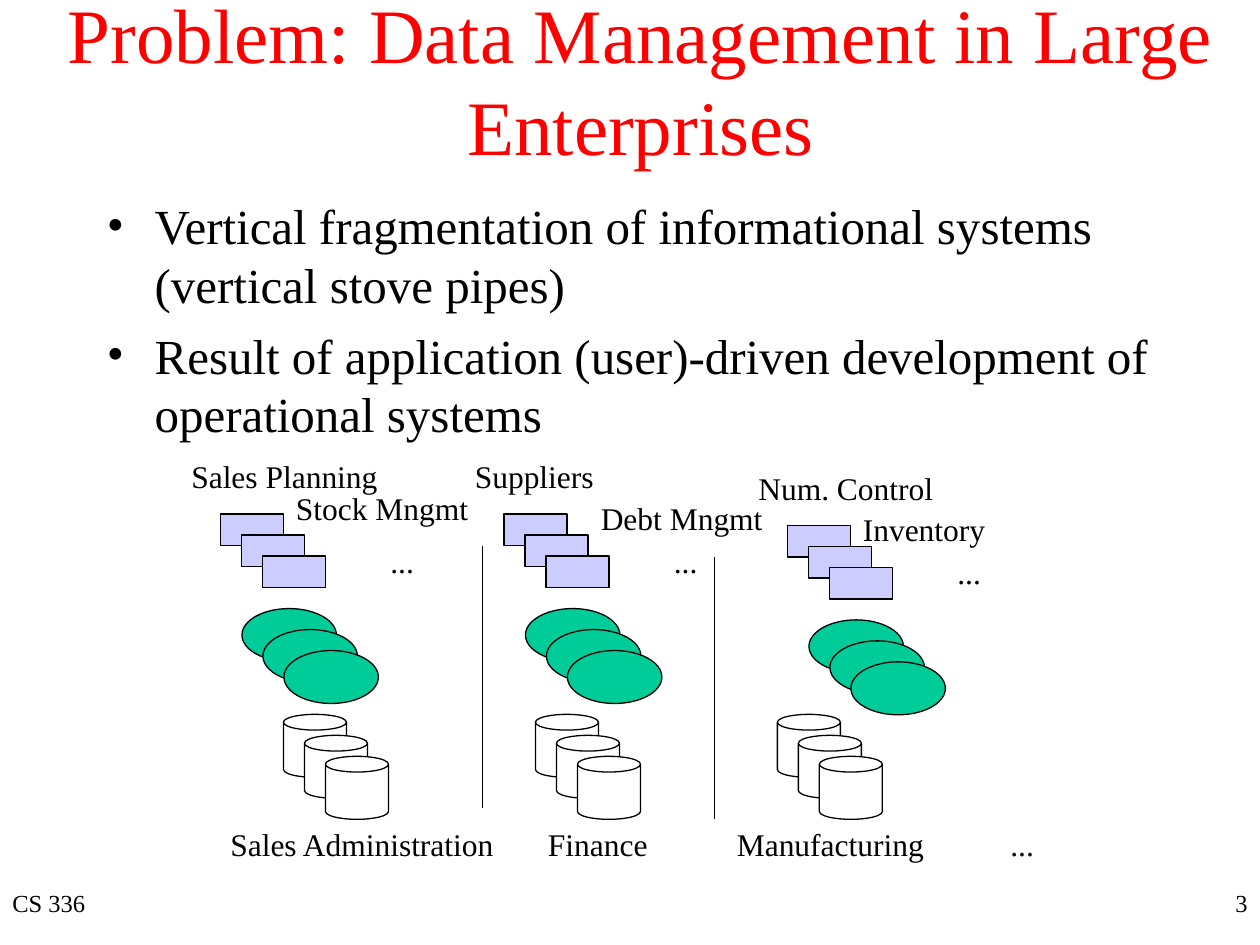
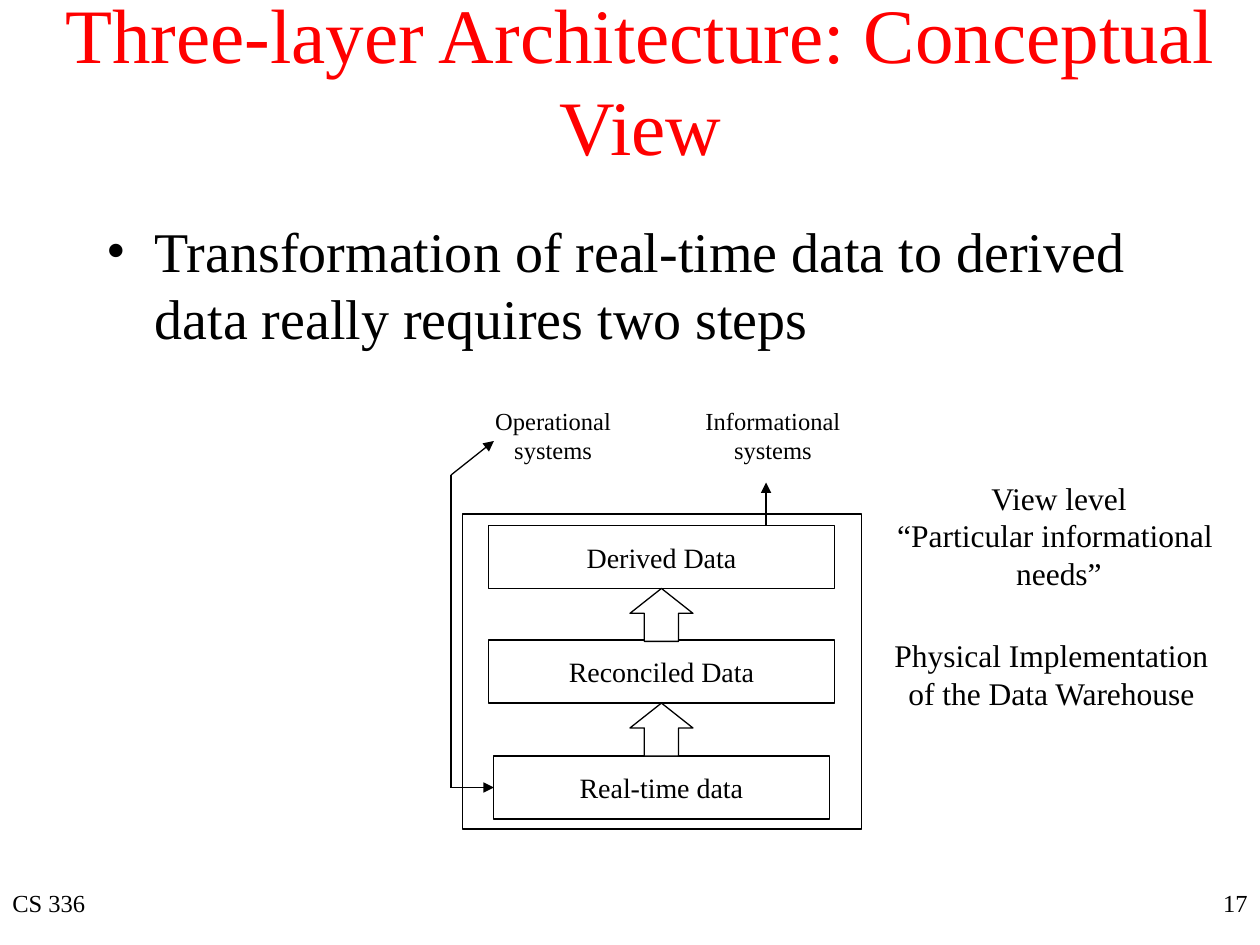
from pptx import Presentation
from pptx.dml.color import RGBColor
from pptx.enum.shapes import MSO_CONNECTOR, MSO_SHAPE
from pptx.enum.text import MSO_ANCHOR, MSO_AUTO_SIZE, PP_ALIGN
from pptx.oxml.ns import qn
from pptx.util import Inches, Pt
from lxml import etree

LEFT, CENTER, RIGHT = PP_ALIGN.LEFT, PP_ALIGN.CENTER, PP_ALIGN.RIGHT
TOP, MIDDLE = MSO_ANCHOR.TOP, MSO_ANCHOR.MIDDLE
FIT_SHAPE, NO_FIT = MSO_AUTO_SIZE.SHAPE_TO_FIT_TEXT, MSO_AUTO_SIZE.NONE
STRAIGHT = MSO_CONNECTOR.STRAIGHT
RECTANGLE, PROCESS = MSO_SHAPE.RECTANGLE, MSO_SHAPE.FLOWCHART_PROCESS
OVAL, CAN, UP_ARROW = MSO_SHAPE.OVAL, MSO_SHAPE.CAN, MSO_SHAPE.UP_ARROW

BLACK = RGBColor(0x00, 0x00, 0x00)
WHITE = RGBColor(0xFF, 0xFF, 0xFF)
RED = RGBColor(0xFF, 0x00, 0x00)
GREEN = RGBColor(0x00, 0xCC, 0x99)
LAVENDER = RGBColor(0xCC, 0xCC, 0xFF)
FONT = "Times New Roman"
LINE_WIDTH = Pt(0.75)

COURSE = "CS 336"
STACK_SIZE = 3
STACK_STEP = 1 / 6
LABEL_HEIGHT = 0.4
LABEL_SLACK = 0.06  # extra width that keeps each label on its line

# Slide 3: title, bullets, and one stove pipe per department
PROBLEM_TITLE = "Problem: Data Management in Large Enterprises"
PROBLEM_BULLETS = [
    "Vertical fragmentation of informational systems (vertical stove pipes)",
    "Result of application (user)-driven development of operational systems",
]
# origin is the corner of the first process box; labels are (text, left, top, width)
# relative to it
DEPARTMENTS = [
    {"origin": (1.75, 4.08), "cans_left": 2.25,
     "labels": [("Sales Planning", -0.33, -0.5, 1.68), ("Stock Mngmt", 0.5, -0.25, 1.57)]},
    {"origin": (4, 4.08), "cans_left": 4.25,
     "labels": [("Suppliers", -0.33, -0.5, 1.14), ("Debt Mngmt", 0.67, -0.17, 1.48)]},
    {"origin": (6.25, 4.17), "cans_left": 6.17,
     "labels": [("Num. Control", -0.33, -0.5, 1.59), ("Inventory", 0.5, -0.17, 1.17)]},
]
MORE_SYSTEMS = ("...", 1.25, 0.17, 0.39)
CANS_TOP = 5.67
DEPARTMENT_NAMES = [  # text, left, width
    ("Sales Administration", 1.73, 2.3),
    ("Finance", 4.25, 0.99),
    ("Manufacturing", 5.75, 1.68),
    ("...", 7.92, 0.39),
]
NAMES_TOP = 6.5
DIVIDERS = [(3.83, 4.33), (5.67, 4.42)]  # left, top
DIVIDER_HEIGHT = 2.08

# Slide 17: title, bullet and the layers of the architecture
LAYERS_TITLE = "Three-layer Architecture: Conceptual View"
LAYERS_BULLETS = ["Transformation of real-time data to derived data really requires two steps"]
FRAME = (3.67, 4.08, 3.17, 2.5)
LAYERS = [  # text, top, width
    ("Derived Data", 4.17, 2.75),
    ("Reconciled Data", 5.08, 2.75),
    ("Real-time data", 6, 2.67),
]
LAYER_HEIGHT = 0.5
LAYER_CENTER = 5.25
STEP_ARROW = (0.5, 0.42)  # width, height
STEP_ARROW_ADJUSTMENTS = (0.542, 0.471)
LAYER_NOTES = [  # lines, place, size
    (["Operational", "systems"], (3.83, 3.17, 1.12, 0.57), 14),
    (["Informational", "systems"], (5.5, 3.17, 1.27, 0.57), 14),
    (["Physical Implementation", "of the Data Warehouse"], (7, 5, 2.69, 0.7), 18),
    (["View level", "“Particular informational ", "needs”"], (7.02, 3.75, 2.77, 1), 18),
]
FLOW_LINES = [  # start, end, has arrowhead at end
    ((6.08, 4.17), (6.08, 3.83), True),
    ((3.58, 3.77), (3.92, 3.5), True),
    ((3.58, 3.77), (3.58, 6.25), False),
    ((3.58, 6.25), (3.92, 6.25), True),
]


def inches(place):
    return [Inches(length) for length in place]


def write_lines(frame, lines, size, color=BLACK, align=LEFT, **settings):
    """Fill a text frame with one paragraph per line; settings go to the frame."""
    for name, value in settings.items():
        setattr(frame, name, value)
    for index, line in enumerate(lines):
        para = frame.paragraphs[0] if index == 0 else frame.add_paragraph()
        para.alignment = align
        span = para.add_run()
        span.text = line
        font_format = {"name": FONT, "size": Pt(size)}
        for name, value in font_format.items():
            setattr(span.font, name, value)
        span.font.color.rgb = color


def add_text(page, lines, place, size, **settings):
    box = page.shapes.add_textbox(*inches(place))
    text_settings = {"word_wrap": True, "auto_size": NO_FIT, "vertical_anchor": TOP}
    write_lines(box.text_frame, lines, size, **{**text_settings, **settings})
    return box


def add_label(page, lines, place, size=18, align=LEFT):
    """Add a text box that grows with its text and does not wrap."""
    left, top, width, height = place
    if align == CENTER:
        left -= LABEL_SLACK / 2
    add_text(page, lines, (left, top, width + LABEL_SLACK, height), size, align=align,
             word_wrap=False, auto_size=FIT_SHAPE)


def add_bullets(page, bullets, place, size, space_before):
    box = add_text(page, bullets, place, size)
    for index, para in enumerate(box.text_frame.paragraphs):
        properties = para._p.get_or_add_pPr()
        properties.set("marL", str(Inches(0.38)))
        properties.set("indent", str(-Inches(0.38)))
        etree.SubElement(properties, qn("a:buFont")).set("typeface", FONT)
        etree.SubElement(properties, qn("a:buChar")).set("char", "•")
        if index:
            para.space_before = Pt(space_before)


def add_outlined(page, kind, place, fill=WHITE, adjustments=()):
    shape = page.shapes.add_shape(kind, *inches(place))
    shape.shadow.inherit = False
    shape.fill.solid()
    shape.fill.fore_color.rgb = fill
    shape.line.color.rgb = BLACK
    shape.line.width = LINE_WIDTH
    for index, value in enumerate(adjustments):
        shape.adjustments[index] = value
    return shape


def add_stack(page, kind, left, top, size, fill, adjustments=()):
    """Add overlapping shapes, each a step further right and down."""
    for index in range(STACK_SIZE):
        shift = index * STACK_STEP
        add_outlined(page, kind, (left + shift, top + shift, *size), fill, adjustments)


def add_line(page, start, end, arrow=False):
    line = page.shapes.add_connector(STRAIGHT, *inches(start + end))
    line.line.color.rgb = BLACK
    line.line.width = LINE_WIDTH
    properties = line.element.spPr
    if arrow:
        outline = properties.find(qn("a:ln"))
        etree.SubElement(outline, qn("a:tailEnd")).set("type", "triangle")
    etree.SubElement(properties, qn("a:effectLst"))


def add_page(deck, title, number):
    """Add a blank page with the shared title and footers."""
    page = deck.slides.add_slide(deck.slide_layouts[6])
    add_text(page, [title], (0.4, 0, 9.37, 1.25), 44, color=RED, align=CENTER,
             vertical_anchor=MIDDLE)
    add_text(page, [COURSE], (0, 7, 3.17, 0.5), 14)
    add_text(page, [str(number)], (7.92, 7, 2.08, 0.5), 14, align=RIGHT)
    return page


def build_problem_page(deck):
    page = add_page(deck, PROBLEM_TITLE, 3)
    add_bullets(page, PROBLEM_BULLETS, (0.75, 1.5, 8.5, 2.58), 28, 7)
    for department in DEPARTMENTS:
        left, top = department["origin"]
        add_stack(page, PROCESS, left, top, (0.5, 0.25), LAVENDER)
        add_stack(page, OVAL, left + 0.17, top + 0.75, (0.75, 0.42), GREEN)
        add_stack(page, CAN, department["cans_left"], CANS_TOP, (0.5, 0.5), WHITE, (0.25,))
        for text, right_by, down_by, width in department["labels"] + [MORE_SYSTEMS]:
            add_label(page, [text], (left + right_by, top + down_by, width, LABEL_HEIGHT))
    for text, left, width in DEPARTMENT_NAMES:
        add_label(page, [text], (left, NAMES_TOP, width, LABEL_HEIGHT))
    for left, top in DIVIDERS:
        add_line(page, (left, top), (left, top + DIVIDER_HEIGHT))


def build_layers_page(deck):
    page = add_page(deck, LAYERS_TITLE, 17)
    add_bullets(page, LAYERS_BULLETS, (0.75, 1.67, 8.5, 1.35), 32, 8)
    add_outlined(page, RECTANGLE, FRAME)
    for text, top, width in LAYERS:
        layer = add_outlined(page, RECTANGLE,
                             (LAYER_CENTER - width / 2, top, width, LAYER_HEIGHT))
        write_lines(layer.text_frame, [text], 16, align=CENTER, word_wrap=False,
                    vertical_anchor=MIDDLE)
    arrow_width, arrow_height = STEP_ARROW
    for _, top, _ in LAYERS[:-1]:
        place = (LAYER_CENTER - arrow_width / 2, top + LAYER_HEIGHT, arrow_width, arrow_height)
        add_outlined(page, UP_ARROW, place, WHITE, STEP_ARROW_ADJUSTMENTS)
    for lines, place, size in LAYER_NOTES:
        add_label(page, lines, place, size, CENTER)
    for start, end, arrow in FLOW_LINES:
        add_line(page, start, end, arrow)


def main():
    deck = Presentation()
    deck.slide_width, deck.slide_height = Inches(10), Inches(7.5)
    build_problem_page(deck)
    build_layers_page(deck)
    deck.save("out.pptx")


if __name__ == "__main__":
    main()
